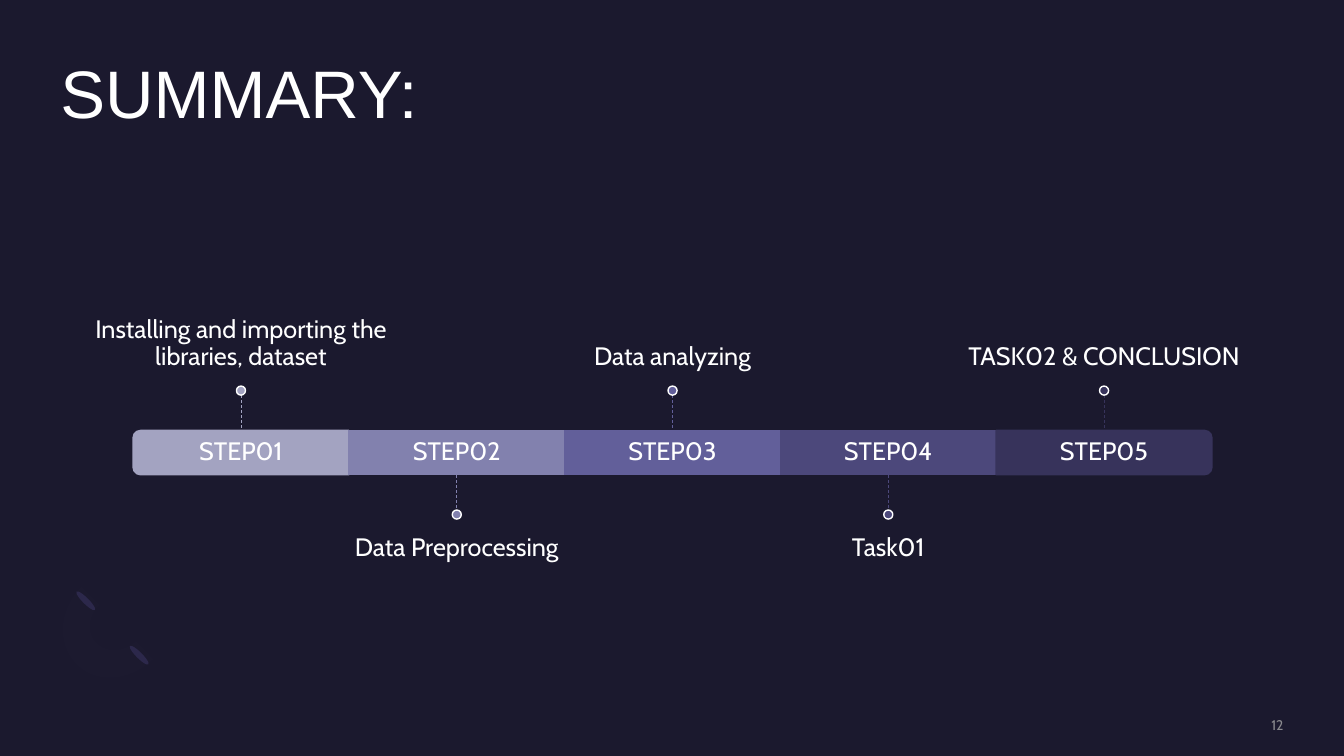
from lxml.etree import SubElement
from pptx import Presentation
from pptx.dml.color import RGBColor
from pptx.enum.dml import MSO_LINE
from pptx.enum.shapes import MSO_CONNECTOR, MSO_SHAPE
from pptx.enum.text import MSO_ANCHOR, PP_ALIGN
from pptx.oxml.ns import qn
from pptx.util import Inches, Pt

WHITE = "FFFFFF"
BACKGROUND = "1B192E"
STEPS = [
    ("STEP01", "Installing and importing the libraries, dataset", "A3A3C1"),
    ("STEP02", "Data Preprocessing", "8281AE"),
    ("STEP03", "Data analyzing", "625F9A"),
    ("STEP04", "Task01", "4C487B"),
    ("STEP05", "TASK02 & CONCLUSION", "37335B"),
]
BAR_LEFT, BAR_TOP = 1.32, 4.27
STEP_WIDTH, BAR_HEIGHT = 2.14, 0.44
STEM, DOT = 0.35, 0.09
CAPTION_WIDTH, CAPTION_HEIGHT, CAPTION_GAP = 3.57, 1.52, 0.15
ARC_START = (0.76, 6.59)
ARC_CURVES = [
    [(0.56, 6.39), (0.58, 6.05), (0.81, 5.82)],
    [(0.99, 6.0)],
    [(0.87, 6.11), (0.86, 6.29), (0.96, 6.38)],
    [(1.06, 6.48), (1.23, 6.47), (1.35, 6.36)],
    [(1.52, 6.54)],
    [(1.3, 6.76), (0.95, 6.79), (0.76, 6.59)],
]


def color(hex_code):
    return RGBColor.from_string(hex_code)


def set_alpha(color_format_parent, percent):
    for srgb in color_format_parent.iter(qn("a:srgbClr")):
        SubElement(srgb, qn("a:alpha"), val=str(percent * 1000))


def paint(shape, fill, outline=None):
    shape.shadow.inherit = False
    shape.fill.solid()
    shape.fill.fore_color.rgb = color(fill)
    if outline:
        shape.line.color.rgb = color(outline)
        shape.line.width = Pt(1)
    else:
        shape.line.fill.background()


def add_block(slide, preset, left, top, width, height, fill, outline=None, rotation=0):
    block = slide.shapes.add_shape(
        preset, Inches(left), Inches(top), Inches(width), Inches(height))
    block.rotation = rotation
    paint(block, fill, outline)


def add_text(slide, text, left, top, width, height, size=18, font="Cabin",
             ink=WHITE, align=PP_ALIGN.CENTER, anchor=MSO_ANCHOR.MIDDLE,
             margin_top=0, margin_bottom=0):
    box = slide.shapes.add_textbox(
        Inches(left), Inches(top), Inches(width), Inches(height))
    frame = box.text_frame
    frame.word_wrap = True
    frame.vertical_anchor = anchor
    frame.margin_left = frame.margin_right = 0
    frame.margin_top = Inches(margin_top)
    frame.margin_bottom = Inches(margin_bottom)
    paragraph = frame.paragraphs[0]
    paragraph.text = text
    paragraph.alignment = align
    paragraph.line_spacing = 0.9
    paragraph.font.size = Pt(size)
    paragraph.font.name = font
    paragraph.font.color.rgb = color(ink)
    return paragraph


def add_stem(slide, x, top, bottom, ink):
    stem = slide.shapes.add_connector(
        MSO_CONNECTOR.STRAIGHT, Inches(x), Inches(top), Inches(x), Inches(bottom))
    stem.line.color.rgb = color(ink)
    stem.line.width = Pt(0.5)
    stem.line.dash_style = MSO_LINE.DASH
    SubElement(stem._element.spPr, qn("a:effectLst"))


def curve_points(start, controls, pieces=12):
    if len(controls) == 1:
        return controls
    points = []
    for piece in range(1, pieces + 1):
        t = piece / pieces
        weights = ((1 - t) ** 3, 3 * t * (1 - t) ** 2, 3 * t * t * (1 - t), t ** 3)
        corners = [start, *controls]
        points.append(tuple(
            sum(w * corner[axis] for w, corner in zip(weights, corners))
            for axis in (0, 1)))
    return points


def add_ring(slide):
    for left, top in ((1.35, 6.37), (0.82, 5.83)):
        add_block(slide, MSO_SHAPE.OVAL, left, top, 0.06, 0.26, "2C284A", rotation=135)
    outline, start = [], ARC_START
    for controls in ARC_CURVES:
        outline += curve_points(start, controls)
        start = controls[-1]
    builder = slide.shapes.build_freeform(
        Inches(ARC_START[0]), Inches(ARC_START[1]))
    builder.add_line_segments([(Inches(x), Inches(y)) for x, y in outline])
    arc = builder.convert_to_shape()
    paint(arc, "7771B2")
    set_alpha(arc._element.spPr, 1)


def add_segment(slide, index, left, fill):
    rotation = {0: 270, len(STEPS) - 1: 90}.get(index)
    if rotation is None:
        add_block(slide, MSO_SHAPE.RECTANGLE, left, BAR_TOP,
                  STEP_WIDTH, BAR_HEIGHT, fill, fill)
    else:
        offset = (STEP_WIDTH - BAR_HEIGHT) / 2
        add_block(slide, MSO_SHAPE.ROUND_2_SAME_RECTANGLE, left + offset,
                  BAR_TOP - offset, BAR_HEIGHT, STEP_WIDTH, fill, fill, rotation)


def add_step(slide, index, label, caption, fill):
    left = BAR_LEFT + index * STEP_WIDTH
    center = left + STEP_WIDTH / 2
    caption_left = center - CAPTION_WIDTH / 2
    add_segment(slide, index, left, fill)
    add_text(slide, label, left, BAR_TOP, STEP_WIDTH, BAR_HEIGHT)
    if index % 2 == 0:
        stem_top, stem_bottom = BAR_TOP - STEM, BAR_TOP
        dot_top = stem_top - DOT
        add_text(slide, caption, caption_left, dot_top - CAPTION_HEIGHT,
                 CAPTION_WIDTH, CAPTION_HEIGHT, anchor=MSO_ANCHOR.BOTTOM,
                 margin_bottom=CAPTION_GAP)
    else:
        stem_top = BAR_TOP + BAR_HEIGHT
        dot_top = stem_bottom = stem_top + STEM
        add_text(slide, caption, caption_left, dot_top + DOT,
                 CAPTION_WIDTH, CAPTION_HEIGHT, anchor=MSO_ANCHOR.TOP,
                 margin_top=CAPTION_GAP)
    add_stem(slide, center, stem_top, stem_bottom, fill)
    add_block(slide, MSO_SHAPE.OVAL, center - DOT / 2, dot_top, DOT, DOT, fill, WHITE)


def main():
    deck = Presentation()
    deck.slide_width, deck.slide_height = Inches(13.33), Inches(7.5)
    slide = deck.slides.add_slide(deck.slide_layouts[6])
    slide.background.fill.solid()
    slide.background.fill.fore_color.rgb = color(BACKGROUND)
    add_ring(slide)
    add_text(slide, "SUMMARY:", 0.6, 0.6, 12.13, 1.46, size=48, font="Arial",
             align=PP_ALIGN.LEFT, anchor=MSO_ANCHOR.TOP)
    for index, (label, caption, fill) in enumerate(STEPS):
        add_step(slide, index, label, caption, fill)
    page_number = add_text(slide, "12", 10.88, 7.12, 1.85, 0.17, size=10,
                           ink="A6A6A6", align=PP_ALIGN.RIGHT)
    set_alpha(page_number._p, 80)
    deck.save("out.pptx")


if __name__ == "__main__":
    main()
